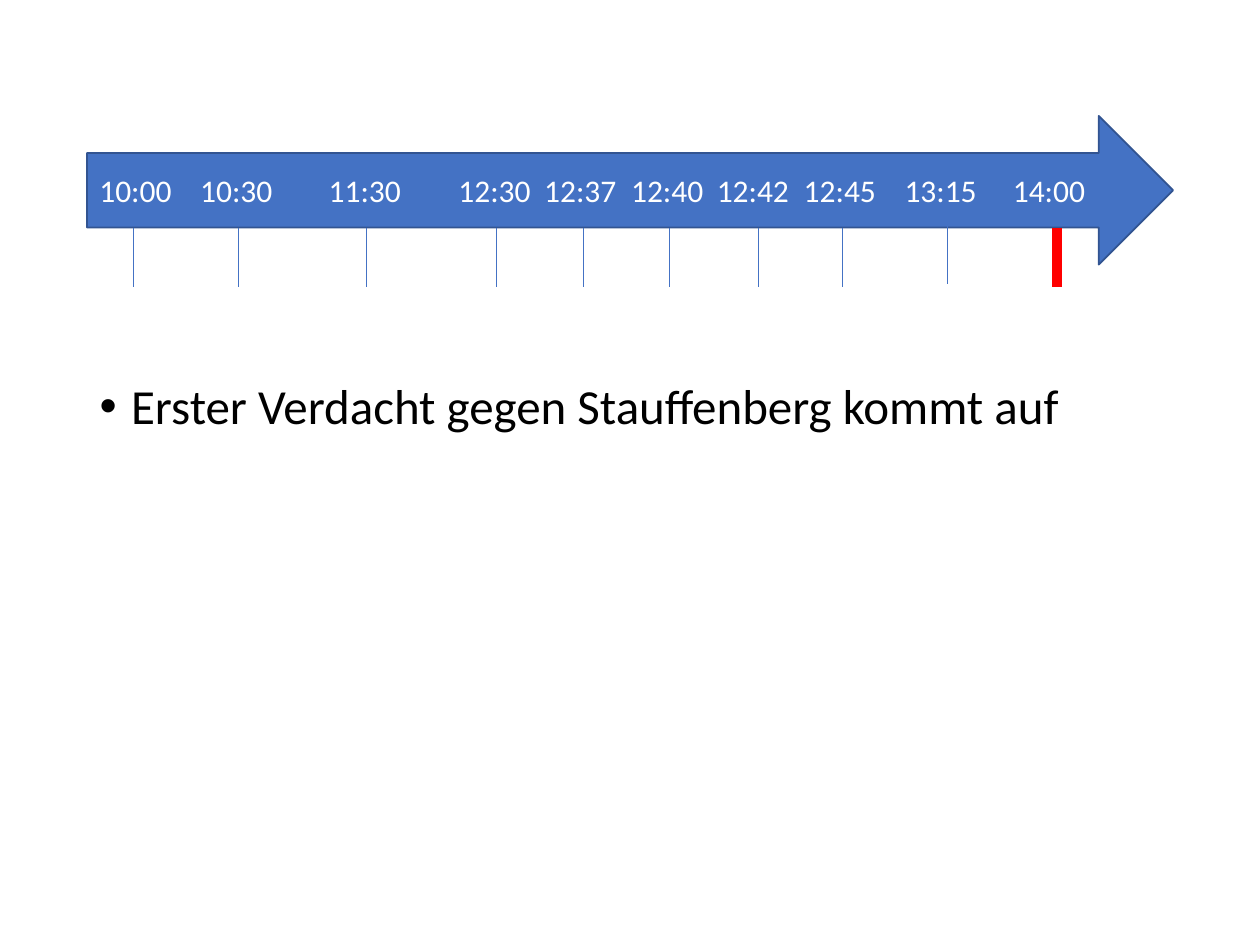
from pptx import Presentation
from pptx.dml.color import RGBColor
from pptx.enum.shapes import MSO_CONNECTOR, MSO_SHAPE
from pptx.enum.text import MSO_ANCHOR, PP_ALIGN
from pptx.oxml.ns import qn
from pptx.util import Inches, Pt
from lxml.etree import SubElement

COLORS = {"arrow": "4472C4", "outline": "325491", "mark": "FF0000",
          "light": "FFFFFF", "text": "000000"}
FONT = "Calibri"
LEFT, WIDTH = 0.69, 8.62
INSET = 0.1
TICK_TOP, TICK_HEIGHT = 1.81, 0.47

# time, left edge of its label, position of its tick
TIMES = [("10:00", 0.79, 1.06), ("10:30", 1.59, 1.89), ("11:30", 2.61, 2.91),
         ("12:30", 3.64, 3.94), ("12:37", 4.32, 4.63), ("12:40", 5.01, 5.31),
         ("12:42", 5.69, 6.02), ("12:45", 6.38, 6.69), ("13:15", 7.18, 7.52),
         ("14:00", 8.04, 8.39)]
CURRENT = "14:00"


def rgb(name):
    """Return the named colour."""
    return RGBColor.from_string(COLORS[name])


def style_run(p, size, color):
    """Format the first run of a paragraph."""
    font = p.runs[0].font
    font.name, font.size = FONT, Pt(size)
    font.color.rgb = rgb(color)


prs = Presentation()
prs.slide_width, prs.slide_height = Inches(10), Inches(7.5)
s = prs.slides.add_slide(prs.slide_layouts[1])
title = s.shapes.title
title.element.getparent().remove(title.element)

# Event of the current time
body = s.placeholders[1]
body.left, body.top = Inches(LEFT), Inches(2.41)
body.width, body.height = Inches(WIDTH), Inches(4.76)
tf = body.text_frame
tf.margin_top = Inches(0.62)
tf.text = "Erster Verdacht gegen Stauffenberg kommt auf"
p = tf.paragraphs[0]
p.line_spacing, p.space_before = 0.9, Pt(0)
pPr = p._p.get_or_add_pPr()
pPr.set("marL", str(Inches(0.25)))
pPr.set("indent", str(-Inches(0.25)))
SubElement(pPr, qn("a:buFont"), typeface="Arial")
SubElement(pPr, qn("a:buChar"), char="•")
style_run(p, 28, "text")

# Timeline arrow, with one tab stop per label
arrow = s.shapes.add_shape(MSO_SHAPE.RIGHT_ARROW, Inches(LEFT), Inches(0.92),
                           Inches(WIDTH), Inches(1.18))
arrow.shadow.inherit = False
arrow.fill.solid()
arrow.fill.fore_color.rgb = rgb("arrow")
arrow.line.color.rgb = rgb("outline")
arrow.line.width = Pt(1)
tf = arrow.text_frame
tf.margin_left = Inches(INSET)
tf.vertical_anchor = MSO_ANCHOR.MIDDLE
tf.text = "\t".join(time for time, _, _ in TIMES)
p = tf.paragraphs[0]
p.alignment = PP_ALIGN.LEFT
tabs = SubElement(p._p.get_or_add_pPr(), qn("a:tabLst"))
for _, label_x, _ in TIMES[1:]:
    SubElement(tabs, qn("a:tab"), pos=str(Inches(label_x - LEFT - INSET)), algn="l")
style_run(p, 18, "light")

# Ticks below the arrow
for time, _, x in TIMES:
    top = 1.78 if time == "13:15" else TICK_TOP
    tick = s.shapes.add_connector(MSO_CONNECTOR.STRAIGHT, Inches(x), Inches(top),
                                  Inches(x), Inches(top + TICK_HEIGHT))
    tick.line.color.rgb = rgb("mark" if time == CURRENT else "arrow")
    tick.line.width = Pt(6 if time == CURRENT else 0.5)
    SubElement(tick._element.spPr, qn("a:effectLst"))

prs.save("out.pptx")
